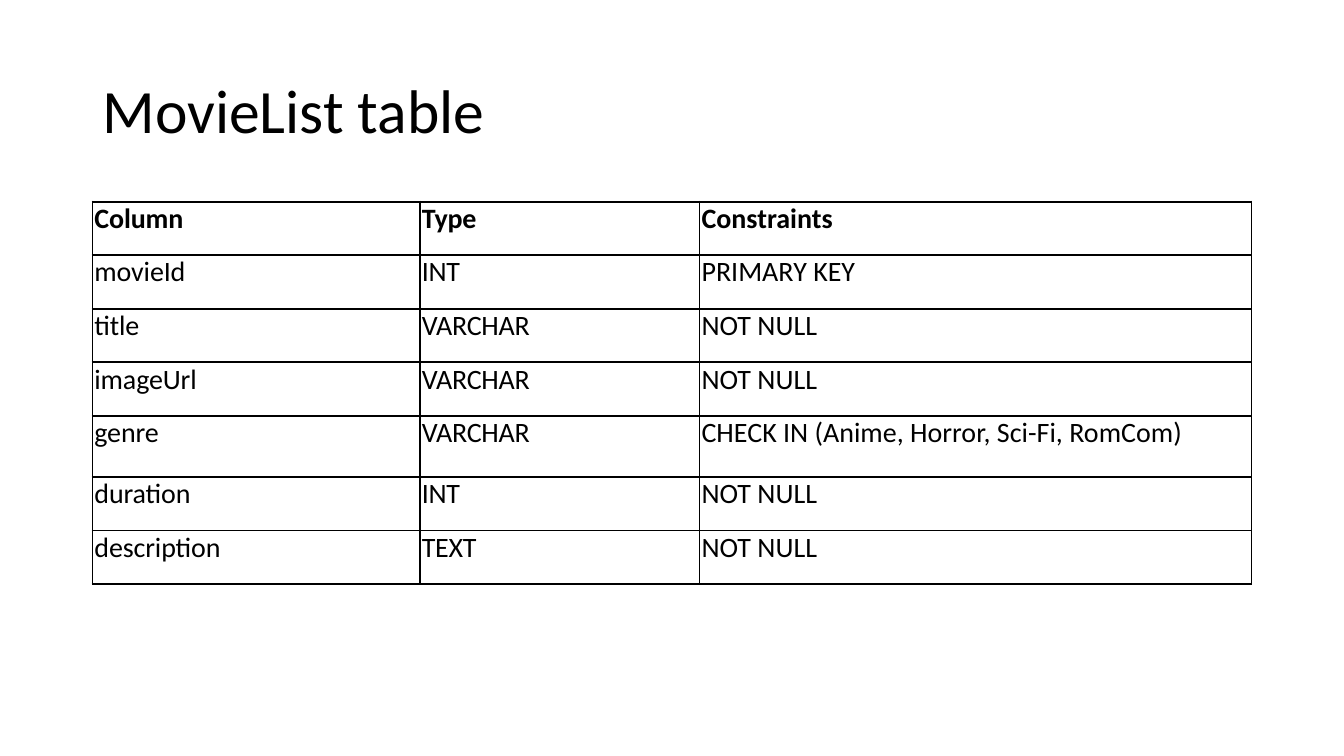
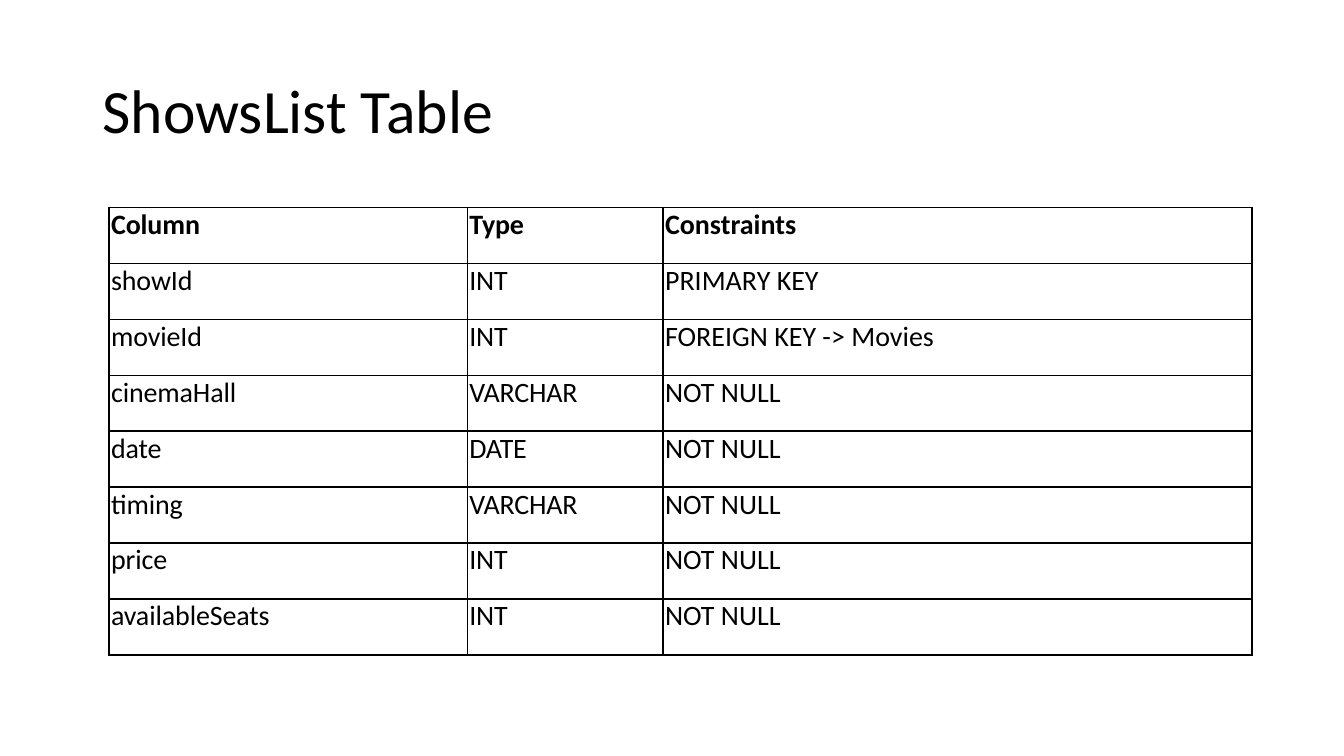
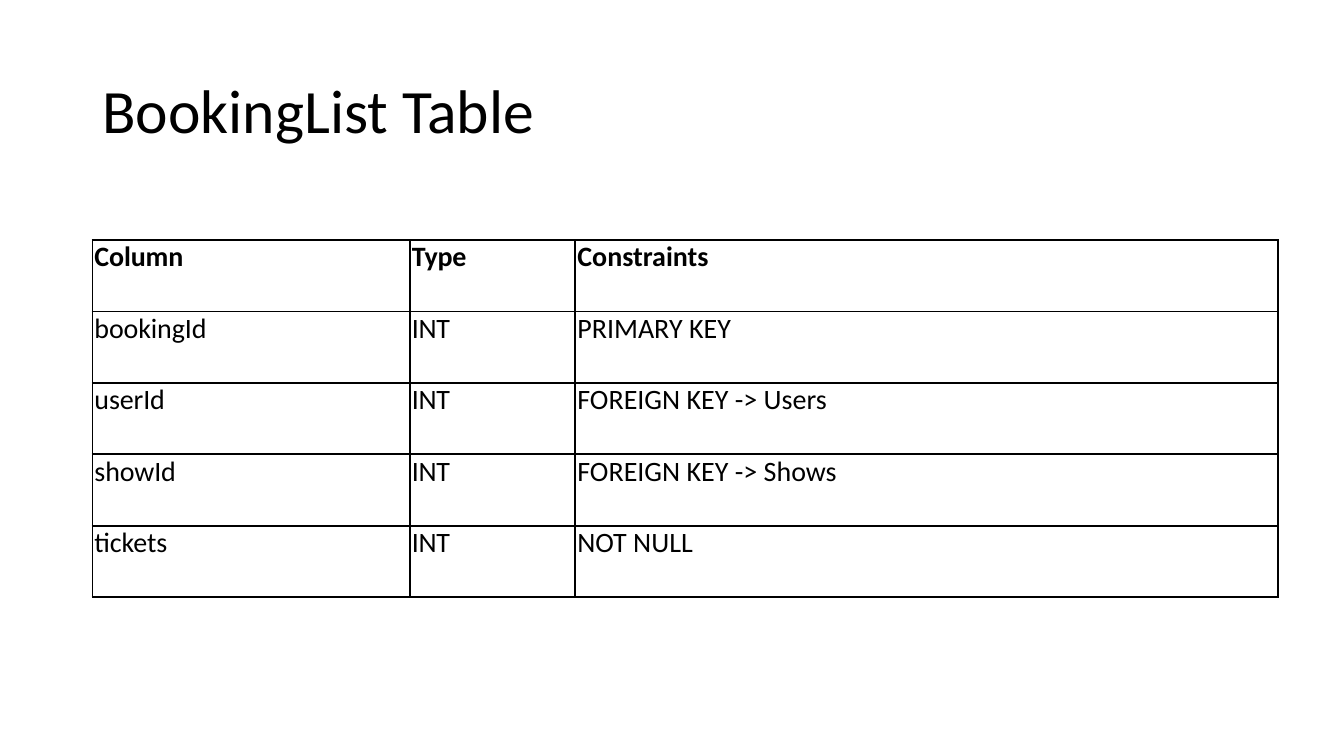
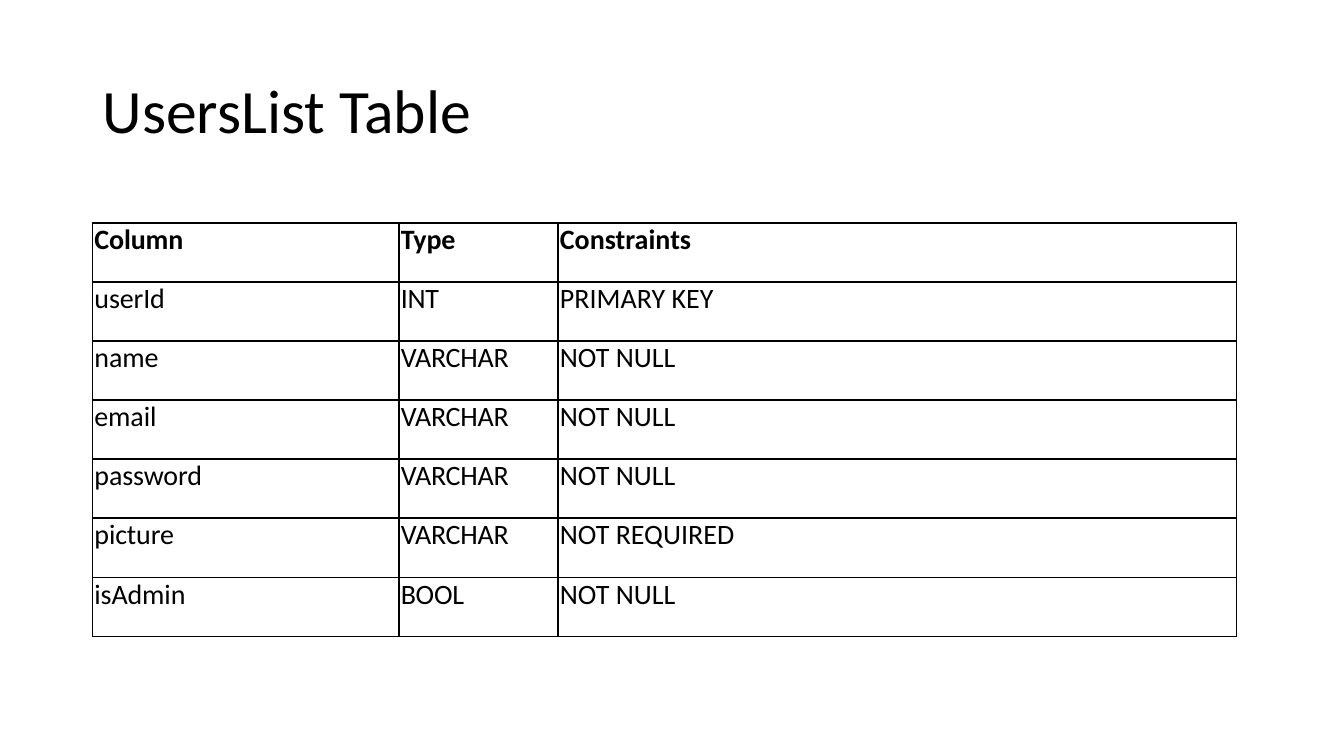
from pptx import Presentation
from pptx.dml.color import RGBColor
from pptx.enum.text import MSO_ANCHOR, PP_ALIGN
from pptx.oxml import parse_xml
from pptx.oxml.ns import nsdecls, qn
from pptx.util import Cm, Pt

# Shared style
COLORS = {"text": "000000", "border": "000000", "cell": "FFFFFF"}
FONT = "Calibri"
TITLE_BOX = (2.33, 1.02, 29.21, 3.68)
TITLE_SIZE, CELL_SIZE = 44, 20
BORDER_WIDTH = Pt(1.5)
CELL_INDENT = 0.05
COLUMN_SPACING = (-10, -20, 0)  # letter spacing, hundredths of a point

# Content: lengths in centimetres
HEADER = ("Column", "Type", "Constraints")
TABLES = [
    {
        "title": "MovieList table",
        "left": 2.33, "top": 5.08, "columns": (8.25, 7.05, 13.91),
        "row_height": 1.35, "tall_rows": {"genre": 1.54},
        "rows": [
            ("movieId", "INT", "PRIMARY KEY"),
            ("title", "VARCHAR", "NOT NULL"),
            ("imageUrl", "VARCHAR", "NOT NULL"),
            ("genre", "VARCHAR", "CHECK IN (Anime, Horror, Sci-Fi, RomCom)"),
            ("duration", "INT", "NOT NULL"),
            ("description", "TEXT", "NOT NULL"),
        ],
    },
    {
        "title": "ShowsList Table",
        "left": 2.75, "top": 5.23, "columns": (9.03, 4.93, 14.84),
        "row_height": 1.41, "tall_rows": {},
        "rows": [
            ("showId", "INT", "PRIMARY KEY"),
            ("movieId", "INT", "FOREIGN KEY -> Movies"),
            ("cinemaHall", "VARCHAR", "NOT NULL"),
            ("date", "DATE", "NOT NULL"),
            ("timing", "VARCHAR", "NOT NULL"),
            ("price", "INT", "NOT NULL"),
            ("availableSeats", "INT", "NOT NULL"),
        ],
    },
    {
        "title": "BookingList Table",
        "left": 2.33, "top": 6.05, "columns": (8, 4.17, 17.7),
        "row_height": 1.8, "tall_rows": {},
        "rows": [
            ("bookingId", "INT", "PRIMARY KEY"),
            ("userId", "INT", "FOREIGN KEY -> Users"),
            ("showId", "INT", "FOREIGN KEY -> Shows"),
            ("tickets", "INT", "NOT NULL"),
        ],
    },
    {
        "title": "UsersList Table",
        "left": 2.33, "top": 5.61, "columns": (7.72, 4.01, 17.1),
        "row_height": 1.49, "tall_rows": {},
        "rows": [
            ("userId", "INT", "PRIMARY KEY"),
            ("name", "VARCHAR", "NOT NULL"),
            ("email", "VARCHAR", "NOT NULL"),
            ("password", "VARCHAR", "NOT NULL"),
            ("picture", "VARCHAR", "NOT REQUIRED"),
            ("isAdmin", "BOOL", "NOT NULL"),
        ],
    },
]


def style_font(para, size, bold=False):
    para.font.name = FONT
    para.font.size = Pt(size)
    para.font.bold = bold
    para.font.color.rgb = RGBColor.from_string(COLORS["text"])


def add_title(page, text):
    title = page.shapes.title
    title.left, title.top, title.width, title.height = map(Cm, TITLE_BOX)
    title.text_frame.text = text
    title.text_frame.vertical_anchor = MSO_ANCHOR.MIDDLE
    para = title.text_frame.paragraphs[0]
    para.alignment = PP_ALIGN.LEFT
    para.line_spacing = 0.9
    style_font(para, TITLE_SIZE)


def add_borders(cell):
    properties = cell._tc.get_or_add_tcPr()
    for side in ("lnL", "lnR", "lnT", "lnB"):
        properties.append(parse_xml(
            f'<a:{side} {nsdecls("a")} w="{BORDER_WIDTH}"><a:solidFill>'
            f'<a:srgbClr val="{COLORS["border"]}"/></a:solidFill></a:{side}>'))


def fill_cell(cell, text, spacing, bold):
    cell.margin_left = Cm(CELL_INDENT)
    cell.margin_right = cell.margin_top = cell.margin_bottom = 0
    add_borders(cell)
    cell.fill.solid()
    cell.fill.fore_color.rgb = RGBColor.from_string(COLORS["cell"])
    cell.text = text
    para = cell.text_frame.paragraphs[0]
    style_font(para, CELL_SIZE, bold)
    para._p.pPr.find(qn("a:defRPr")).set("spc", str(spacing))


def add_schema(page, schema):
    rows = [HEADER, *schema["rows"]]
    heights = [schema["tall_rows"].get(row[0], schema["row_height"]) for row in rows]
    table = page.shapes.add_table(
        len(rows), len(HEADER), Cm(schema["left"]), Cm(schema["top"]),
        Cm(sum(schema["columns"])), Cm(sum(heights))).table
    table.first_row = table.horz_banding = False
    for column, width in zip(table.columns, schema["columns"]):
        column.width = Cm(width)
    for row_index, (values, height) in enumerate(zip(rows, heights)):
        table.rows[row_index].height = Cm(height)
        for column_index, text in enumerate(values):
            fill_cell(table.cell(row_index, column_index), text,
                      COLUMN_SPACING[column_index], bold=row_index == 0)


def main():
    deck = Presentation()
    deck.slide_width, deck.slide_height = Cm(33.87), Cm(19.05)
    title_only = deck.slide_layouts[5]
    for schema in TABLES:
        page = deck.slides.add_slide(title_only)
        add_title(page, schema["title"])
        add_schema(page, schema)
    deck.save("out.pptx")


if __name__ == "__main__":
    main()
